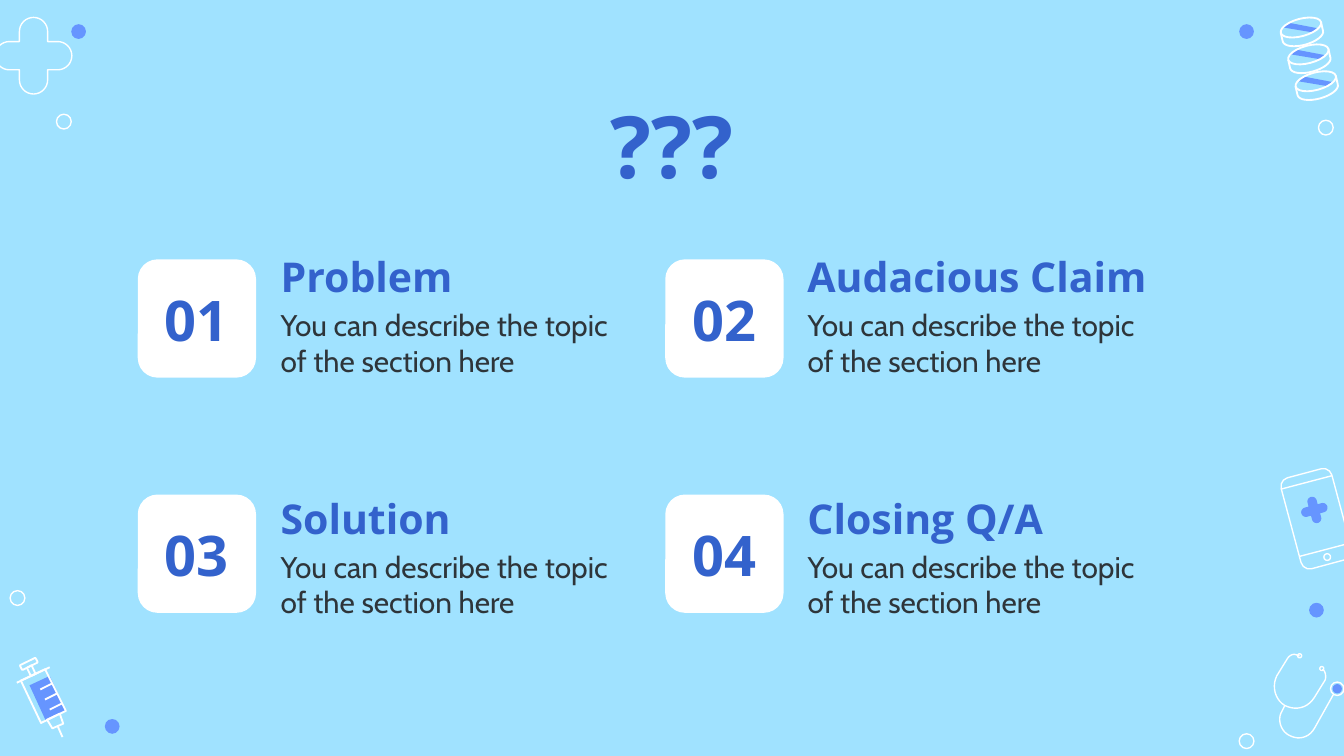
import math

import pptx
import pptx.dml.color
import pptx.enum.shapes
import pptx.enum.text
import pptx.oxml.ns
import pptx.util
from lxml import etree

RGB = pptx.dml.color.RGBColor
SKY = RGB(0xA0, 0xE2, 0xFF)
WHITE = RGB(0xFF, 0xFF, 0xFF)
PERIWINKLE = RGB(0x66, 0x95, 0xFF)
BLUE = RGB(0x33, 0x62, 0xCC)
INK = RGB(0x2E, 0x35, 0x3A)

SHAPE = pptx.enum.shapes.MSO_SHAPE
ANCHOR = pptx.enum.text.MSO_ANCHOR
ALIGN = pptx.enum.text.PP_ALIGN

PX = 4572  # 200 px to the inch
INSET = 20

NUMBER = {"name": "Open Sans", "size": pptx.util.Pt(30), "bold": True}
TITLE = {"name": "Open Sans", "size": pptx.util.Pt(46), "bold": True}
HEADING = {"name": "Open Sans", "size": pptx.util.Pt(22), "bold": True}
BODY = {"name": "Cabin", "size": pptx.util.Pt(16), "bold": False}


def emu(px):
    return round(px * PX)


def arc(cx, cy, rx, ry, start, end, tilt=0, steps=16):
    """Points on a tilted ellipse; angles in degrees, clockwise."""
    t = math.radians(tilt)
    points = []
    for i in range(steps + 1):
        a = math.radians(start + (end - start) * i / steps)
        x, y = rx * math.cos(a), ry * math.sin(a)
        points.append((cx + x * math.cos(t) - y * math.sin(t),
                       cy + x * math.sin(t) + y * math.cos(t)))
    return points


def curve(*path, steps=10):
    """Points along a path of (x, y) lines and six-number Bezier curves."""
    points = []
    for seg in path:
        if len(seg) == 2:
            points.append(seg)
            continue
        x0, y0 = points[-1]
        x1, y1, x2, y2, x3, y3 = seg
        for i in range(1, steps + 1):
            t = i / steps
            u = 1 - t
            a, b, c, d = u ** 3, 3 * u * u * t, 3 * u * t * t, t ** 3
            points.append((a * x0 + b * x1 + c * x2 + d * x3,
                           a * y0 + b * y1 + c * y2 + d * y3))
    return points


class Deck:
    def __init__(self, width, height):
        self.prs = pptx.Presentation()
        self.prs.slide_width, self.prs.slide_height = emu(width), emu(height)
        self.s = self.prs.slides.add_slide(self.prs.slide_layouts[5])
        fill = self.s.background.fill
        fill.solid()
        fill.fore_color.rgb = SKY

    def paint(self, sp, fill, line, weight):
        sp.shadow.inherit = False
        if fill is None:
            sp.fill.background()
        else:
            sp.fill.solid()
            sp.fill.fore_color.rgb = fill
        if line is None:
            sp.line.fill.background()
        else:
            sp.line.color.rgb = line
            sp.line.width = pptx.util.Pt(weight)

    def shape(self, kind, x, y, w, h, fill=None, line=None, weight=0.75, rot=0):
        sp = self.s.shapes.add_shape(kind, emu(x), emu(y), emu(w), emu(h))
        sp.rotation = rot
        self.paint(sp, fill, line, weight)

    def outline(self, points, fill=None, line=None, weight=0.75, close=False):
        first, *rest = [(emu(x), emu(y)) for x, y in points]
        fb = self.s.shapes.build_freeform(*first, scale=1.0)
        fb.add_line_segments(rest, close=close)
        self.paint(fb.convert_to_shape(), fill, line, weight)

    def line(self, x1, y1, x2, y2, weight=0.75):
        cx = self.s.shapes.add_connector(
            pptx.enum.shapes.MSO_CONNECTOR.STRAIGHT, *map(emu, (x1, y1, x2, y2)))
        cx.line.color.rgb = WHITE
        cx.line.width = pptx.util.Pt(weight)
        etree.SubElement(cx._element.spPr, pptx.oxml.ns.qn("a:effectLst"))

    def plus(self, cx, cy, reach, r, tilt=0, **style):
        """Cross with round arm ends; reach runs to the centre of each end."""
        points = []
        for turn in range(tilt, tilt + 360, 90):
            a = math.radians(turn)
            points += arc(cx + reach * math.cos(a), cy + reach * math.sin(a),
                          r, r, turn - 90, turn + 90)
            corner = math.radians(turn + 45)
            points.append((cx + r * math.sqrt(2) * math.cos(corner),
                           cy + r * math.sqrt(2) * math.sin(corner)))
        self.outline(points, close=True, **style)

    def text(self, text, x, y, w, h, font, color=BLUE, anchor=ANCHOR.TOP,
             align=ALIGN.LEFT, sp=None):
        sp = sp or self.s.shapes.add_textbox(0, 0, 0, 0)
        for key, value in zip(("left", "top", "width", "height"), (x, y, w, h)):
            setattr(sp, key, emu(value))
        tf = sp.text_frame
        frame = {"word_wrap": True, "vertical_anchor": anchor,
                 "auto_size": pptx.enum.text.MSO_AUTO_SIZE.NONE}
        for side in ("left", "top", "right", "bottom"):
            frame["margin_" + side] = emu(INSET)
        for key, value in frame.items():
            setattr(tf, key, value)
        p = tf.paragraphs[0]
        p.alignment = align
        r = p.add_run()
        r.text = text
        for key, value in font.items():
            setattr(r.font, key, value)
        r.font.color.rgb = color


def draw_corners(d):
    # Loose dots and rings
    for x, y in ((1844, 36), (106, 36), (156, 1070), (1948, 897)):
        d.shape(SHAPE.OVAL, x, y, 22, 22, fill=PERIWINKLE)
    for x, y in ((84, 170), (15, 879), (1962, 179), (1844, 1092)):
        d.shape(SHAPE.OVAL, x, y, 22, 22, line=WHITE)

    # Cross
    d.plus(50, 83, 36, 21, line=WHITE)

    # Helix: three stacked discs
    for i in range(3):
        x, y = 1936 + 11 * i, 41 + 40 * i
        d.outline([(x - 18, y - 7), (x - 26, y), (x + 16, y + 7), (x + 24, y + 1)],
                  fill=PERIWINKLE, close=True)
        d.shape(SHAPE.OVAL, x - 31, y - 13, 62, 26, line=WHITE, weight=1, rot=-15)
        rim = arc(x + 3, y + 13, 31, 13, 0, 180, -15)
        d.outline([(x + 30, y - 8), *rim, (x - 30, y + 8)], line=WHITE, weight=1)

    # Syringe
    d.outline([(44, 1020), (68, 1072), (98, 1058), (74, 1006)],
              fill=PERIWINKLE, close=True)
    for part in ([(31, 1013), (67, 996), (98, 1058), (61, 1076)],
                 [(70, 1071), (78, 1084), (94, 1077), (89, 1062)],
                 [(40, 994), (46, 1006), (53, 1003), (47, 990)]):
        d.outline(part, line=WHITE, weight=1, close=True)
    d.shape(SHAPE.ROUNDED_RECTANGLE, 30, 984, 26, 8, line=WHITE, weight=1, rot=-26)
    d.line(86, 1081, 93, 1097, 1)
    d.line(25, 1016, 74, 993, 1)
    for i in range(3):
        d.line(60 + 7 * i, 1026 + 15 * i, 78 + 7 * i, 1017 + 15 * i, 1)

    # Stethoscope
    d.outline(curve((1934, 976), (1932, 976), (1926, 972, 1920, 974, 1916, 980),
                    (1900, 1006), (1892, 1022, 1898, 1042, 1912, 1050),
                    (1928, 1058, 1946, 1054, 1956, 1038), (1972, 1012),
                    (1974, 1006, 1972, 998, 1968, 996)), line=WHITE)
    d.outline(curve((1912, 1050), (1908, 1058), (1900, 1070, 1906, 1088, 1918, 1094),
                    (1932, 1102, 1948, 1098, 1956, 1084), (1984, 1034)), line=WHITE)
    for x, y, size in ((1931, 973, 6), (1964, 992, 6), (1980, 1015, 20)):
        d.shape(SHAPE.OVAL, x, y, size, size, line=WHITE)
    d.shape(SHAPE.OVAL, 1983, 1018, 14, 14, fill=PERIWINKLE)

    # Phone
    d.plus(1956, 759, 13, 7, tilt=-15, fill=PERIWINKLE)
    d.shape(SHAPE.ROUNDED_RECTANGLE, 1920, 702, 78, 140, line=WHITE, rot=-15)
    d.line(1906, 728, 1982, 708)
    d.line(1934, 828, 2010, 808)
    d.shape(SHAPE.OVAL, 1970, 824, 10, 10, line=WHITE)


def draw_sections(d):
    names = ("Problem", "Audacious Claim", "Solution", "Closing Q/A")
    for i, name in enumerate(names):
        row, col = divmod(i, 2)
        x, y = 205 + 785 * col, 386 + 350 * row
        text_x, text_y = 398 + 784 * col, 386 + 360 * row
        d.shape(SHAPE.ROUNDED_RECTANGLE, x, y, 176, 176, fill=WHITE)
        d.text(f"{i + 1:02}", x + 1, y + 26, 174, 126, NUMBER,
               anchor=ANCHOR.MIDDLE, align=ALIGN.CENTER)
        d.text("You can describe the topic of the section here",
               text_x, text_y + 50, 544, 114, BODY, INK)
        d.text(name, text_x, text_y, 546, 82, HEADING, anchor=ANCHOR.BOTTOM)


def main():
    d = Deck(2000, 1125)
    draw_corners(d)
    d.text("???", 156, 118, 1688, 158, TITLE, align=ALIGN.CENTER,
           sp=d.s.shapes.title)
    draw_sections(d)
    d.prs.save("out.pptx")


if __name__ == "__main__":
    main()
